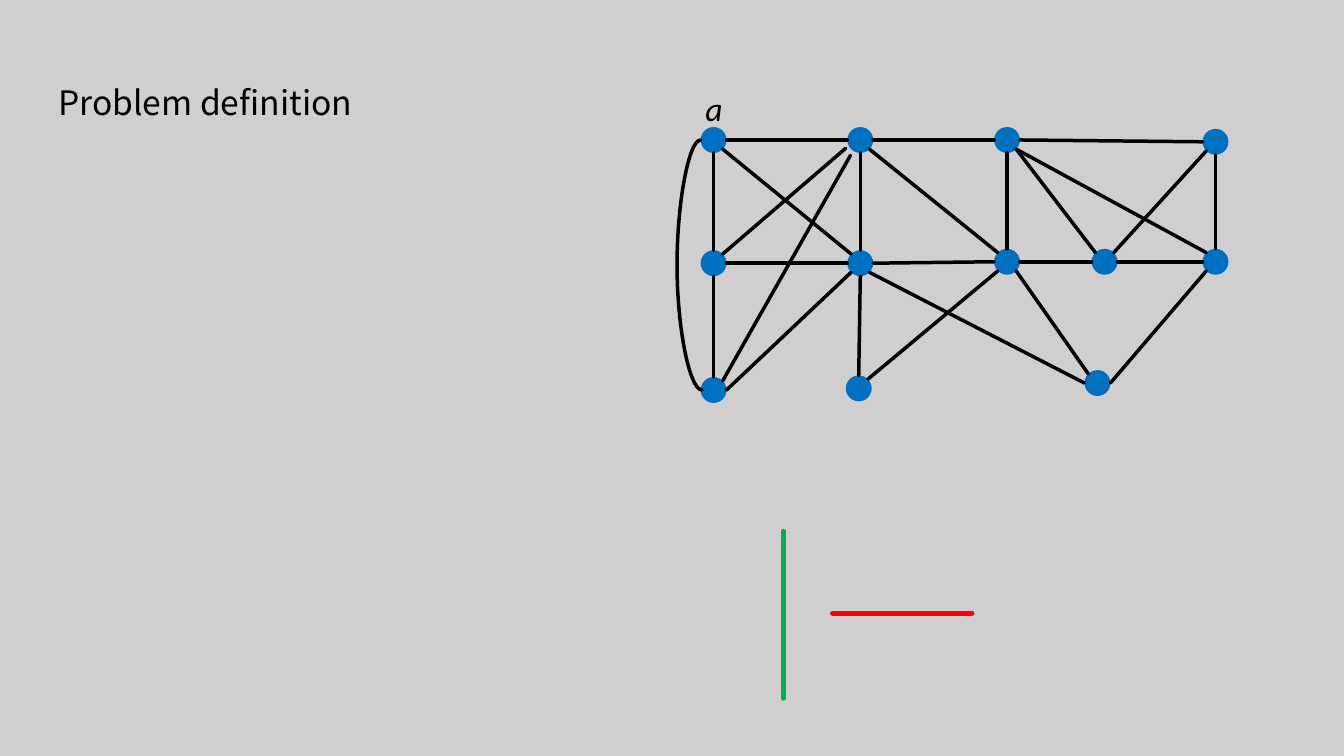
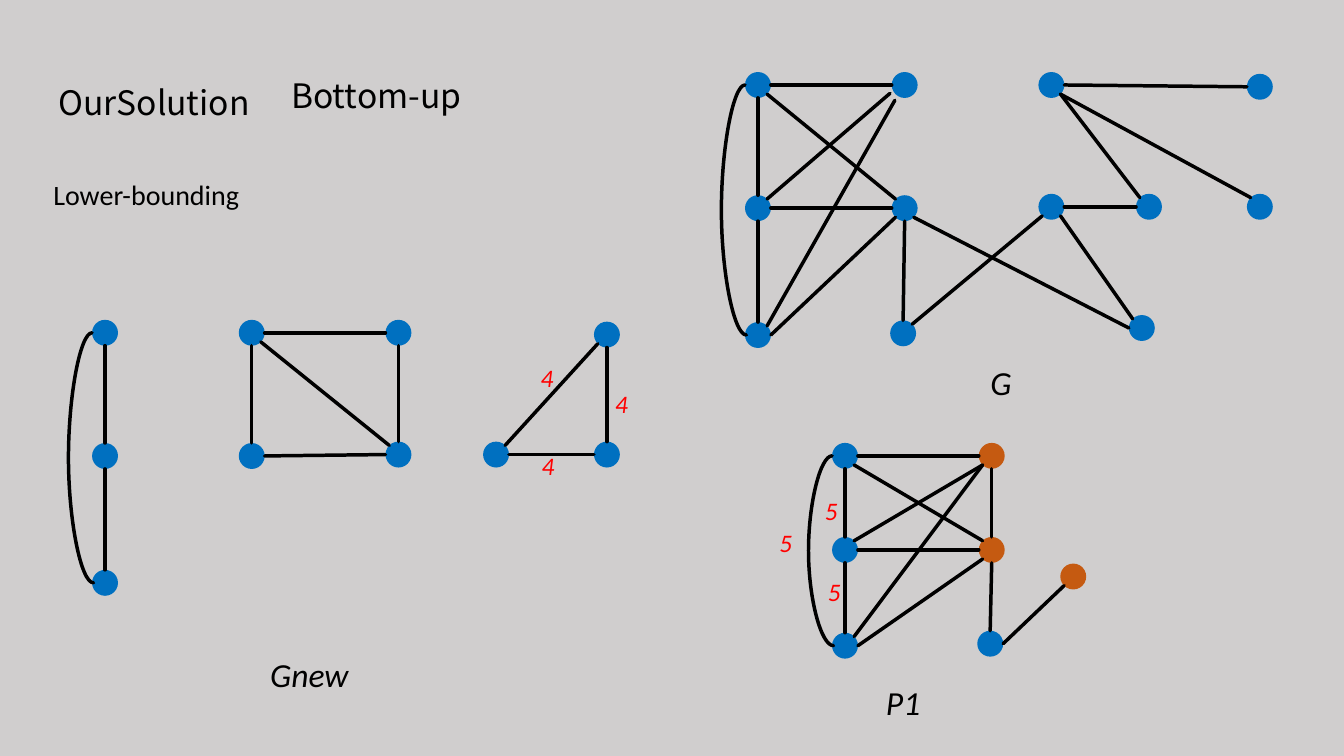
from lxml import etree
from pptx import Presentation
from pptx.dml.color import RGBColor
from pptx.enum.shapes import MSO_CONNECTOR as CONNECTOR, MSO_SHAPE as SHAPE
from pptx.enum.text import MSO_ANCHOR as ANCHOR, MSO_AUTO_SIZE as AUTO_SIZE, PP_ALIGN as ALIGN
from pptx.oxml.ns import qn
from pptx.util import Pt

# Shared look
BACKGROUND = RGBColor(0xD0, 0xCE, 0xCE)
BLACK = RGBColor(0x00, 0x00, 0x00)
BLUE = RGBColor(0x00, 0x70, 0xC0)
ORANGE = RGBColor(0xC5, 0x5A, 0x11)
RED = RGBColor(0xFF, 0x00, 0x00)
GREEN = RGBColor(0x00, 0xB0, 0x50)
HEADING = {"name": "Noto Sans CJK SC", "size": Pt(24), "italic": False}
SUBHEADING = {"name": "Calibri", "size": Pt(20), "italic": False}
CAPTION = {"name": "Calibri", "size": Pt(24), "italic": True}
WEIGHT = {"name": "Calibri", "size": Pt(18), "italic": True}

# Where an edge can leave a node, as an offset from its centre
RADIUS = 9.25
DIAGONAL = 6.54
SITES = {
    "N": (0, -RADIUS), "S": (0, RADIUS), "W": (-RADIUS, 0), "E": (RADIUS, 0),
    "NW": (-DIAGONAL, -DIAGONAL), "NE": (DIAGONAL, -DIAGONAL),
    "SW": (-DIAGONAL, DIAGONAL), "SE": (DIAGONAL, DIAGONAL),
    "WSW": (-10.5, 6), "SSW": (-7, 11),
}

# The graph: node centres relative to node a, edges with their sites
NODES = {
    "a": (0, 0), "b": (104.8, 0), "c": (209.6, 0), "d": (358.5, 1.3),
    "e": (0, 88), "f": (104.8, 88), "g": (209.6, 87), "h": (279.3, 87),
    "i": (358.5, 87), "j": (0, 178.6), "k": (103.7, 177.4), "l": (274.2, 173.6),
}
EDGES = {
    "je": ("N", "S"), "ea": ("N", "S"), "ba": ("W", "E"), "fe": ("W", "E"),
    "fj": ("SW", "E"), "fb": ("N", "S"), "fa": ("NW", "SE"), "be": ("WSW", "NE"),
    "bj": ("SSW", "NE"), "gf": ("W", "E"), "cb": ("W", "E"), "gb": ("NW", "SE"),
    "cg": ("S", "N"), "kf": ("N", "S"), "kg": ("NE", "SW"), "hc": ("NW", "SE"),
    "hg": ("W", "E"), "ih": ("W", "E"), "id": ("N", "S"), "dc": ("W", "E"),
    "dh": ("SW", "NE"), "ic": ("NW", "SE"), "lg": ("NW", "SE"), "lf": ("W", "SE"),
    "li": ("E", "SW"),
}

# Parts of the graph
CLUSTER_EDGES = ["fb", "gf", "cb", "gb", "cg", "ih", "id", "dh"]
REMAINING = {key: EDGES[key] for key in EDGES if key not in CLUSTER_EDGES + ["li"]}
NEW_NODES = {key: NODES[key] for key in "abcdefghij"}
NEW_EDGES = {key: EDGES[key] for key in ["je", "ea"] + CLUSTER_EDGES}
PART_NODES = {
    "a": (0, 0), "b": (104.8, 0), "e": (0, 67.2), "f": (104.8, 67.2),
    "j": (0, 135.6), "k": (103.7, 134.2), "m": (163, 86.2),
}
PART_EDGES = {key: EDGES[key] for key in ["je", "ea", "ba", "fe", "fj", "fb", "fa", "kf"]}
PART_EDGES |= {"be": ("SW", "NE"), "bj": ("SW", "NE"), "km": ("E", "SW")}

# Slides: graph = (origin, nodes, edges, orange nodes),
# text = (text, format, colour, alignment, box), bar = (colour, ends)
SLIDES = [
    {
        "title": ("Problem definition", 230),
        "graphs": [((509.7, 100), NODES, EDGES, "")],
        "texts": [("a", CAPTION, BLACK, ALIGN.CENTER, (491.7, 59, 36.7, 36))],
        "bars": [(RED, (594.7, 438, 694.3, 438)), (GREEN, (559.5, 379.5, 559.5, 498.8))],
    },
    {
        "title": ("OurSolution", 156),
        "graphs": [
            ((541.4, 60.7), NODES, REMAINING, ""),
            ((75, 237.7), NEW_NODES, NEW_EDGES, ""),
            ((603.6, 325.6), PART_NODES, PART_EDGES, "bfm"),
        ],
        "texts": [
            ("Bottom-up", HEADING, BLACK, ALIGN.LEFT, (200.9, 49.7, 150, 36)),
            ("Lower-bounding", SUBHEADING, BLACK, ALIGN.LEFT, (31, 123.1, 160, 32)),
            ("Gnew", CAPTION, BLACK, ALIGN.CENTER, (185, 463.7, 72, 36)),
            ("G", CAPTION, BLACK, ALIGN.CENTER, (679, 254.9, 72, 36)),
            ("P1", CAPTION, BLACK, ALIGN.CENTER, (609.1, 483.8, 72, 36)),
        ] + [
            (weight, WEIGHT, RED, ALIGN.CENTER, (left, top, 34, 29))
            for weight, left, top in [
                ("4", 427, 273.6), ("4", 373.7, 254.9), ("4", 374.4, 318.2),
                ("5", 544.3, 373), ("5", 576.7, 350.6), ("5", 578.9, 408.2),
            ]
        ],
        "bars": [],
    },
]


def write_text(shape, text, formats, color, alignment):
    frame = shape.text_frame
    for name, value in {"word_wrap": True, "auto_size": AUTO_SIZE.NONE,
                        "vertical_anchor": ANCHOR.TOP}.items():
        setattr(frame, name, value)
    paragraph = frame.paragraphs[0]
    paragraph.alignment = alignment
    run = paragraph.add_run()
    run.text = text
    for name, value in formats.items():
        setattr(run.font, name, value)
    run.font.color.rgb = color
    return paragraph


def draw_line(slide, kind, ends, color, width):
    connector = slide.shapes.add_connector(kind, *[Pt(value) for value in ends])
    connector.line.color.rgb = color
    connector.line.width = Pt(width)
    properties = connector._element.spPr
    properties.find(qn("a:ln")).set("cap", "rnd")
    etree.SubElement(properties, qn("a:effectLst"))
    return properties


presentation = Presentation()
presentation.slide_width, presentation.slide_height = Pt(960), Pt(540)
background = presentation.slide_master.background.fill
background.solid()
background.fore_color.rgb = BACKGROUND

for content in SLIDES:
    slide = presentation.slides.add_slide(presentation.slide_layouts[5])

    # Title
    title = slide.shapes.title
    text, width = content["title"]
    title.left, title.top, title.width, title.height = Pt(34.4), Pt(40.3), Pt(width), Pt(46)
    write_text(title, text, HEADING, BLACK, ALIGN.LEFT).line_spacing = 1.5

    for (left, top), nodes, edges, highlighted in content["graphs"]:
        # Nodes
        for name, (x, y) in nodes.items():
            node = slide.shapes.add_shape(SHAPE.OVAL, Pt(left + x - RADIUS), Pt(top + y - RADIUS),
                                          Pt(2 * RADIUS), Pt(2 * RADIUS))
            node.shadow.inherit = False
            node.fill.solid()
            node.fill.fore_color.rgb = ORANGE if name in highlighted else BLUE
            node.line.fill.background()

        # Straight edges
        for pair, sites in edges.items():
            ends = []
            for name, site in zip(pair, sites):
                ends += [left + nodes[name][0] + SITES[site][0],
                         top + nodes[name][1] + SITES[site][1]]
            draw_line(slide, CONNECTOR.STRAIGHT, ends, BLACK, 2.5)

        # Curved edge between a and j, turned so that it bulges to the left
        edge_left = left - RADIUS
        properties = draw_line(slide, CONNECTOR.CURVE,
                               (edge_left, top, edge_left + 1, top + nodes["j"][1]), BLACK, 2.5)
        properties.find(qn("a:xfrm")).set("rot", "10800000")
        adjustments = properties.find(qn("a:prstGeom")).find(qn("a:avLst"))
        etree.SubElement(adjustments, qn("a:gd"), name="adj1", fmla="val 1800000")

    # Headings, captions and edge weights
    for text, formats, color, alignment, box in content["texts"]:
        label = slide.shapes.add_textbox(*[Pt(value) for value in box])
        write_text(label, text, formats, color, alignment)

    # Coloured bars
    for color, ends in content["bars"]:
        draw_line(slide, CONNECTOR.STRAIGHT, ends, color, 3.5)

presentation.save("out.pptx")
